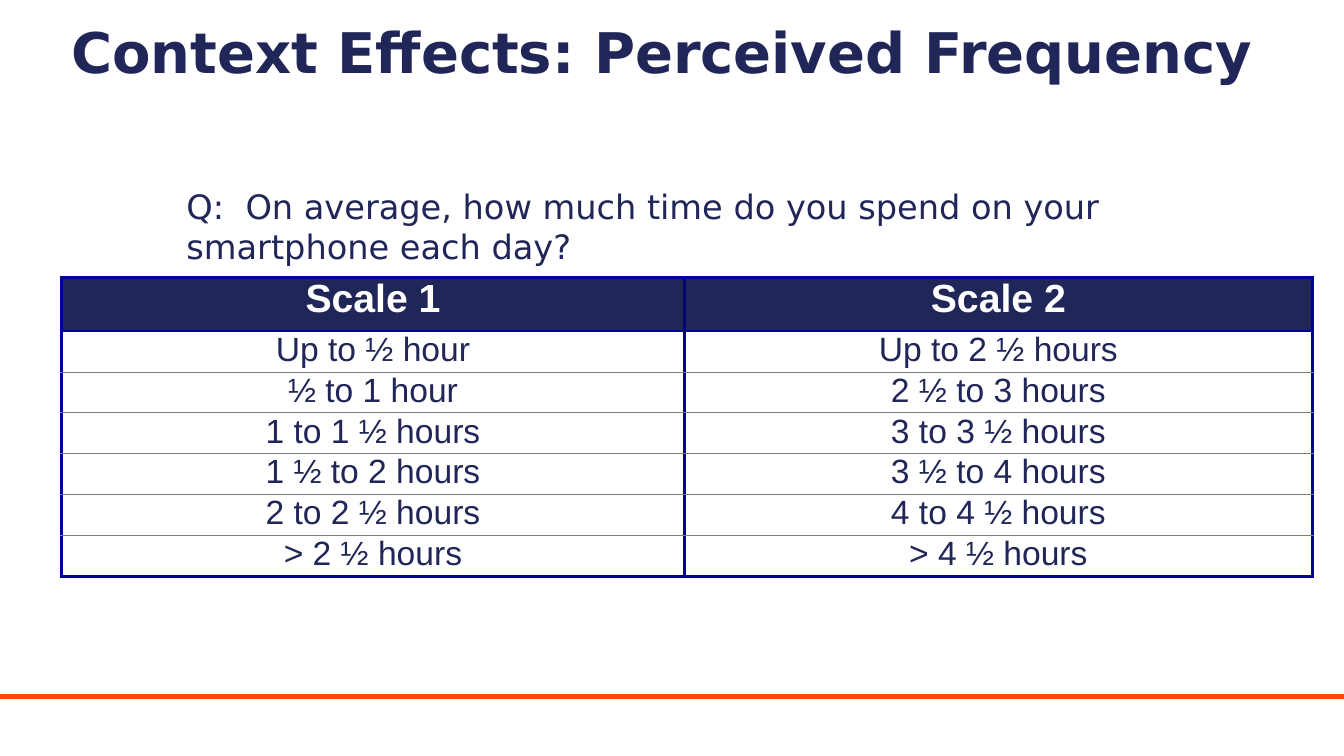
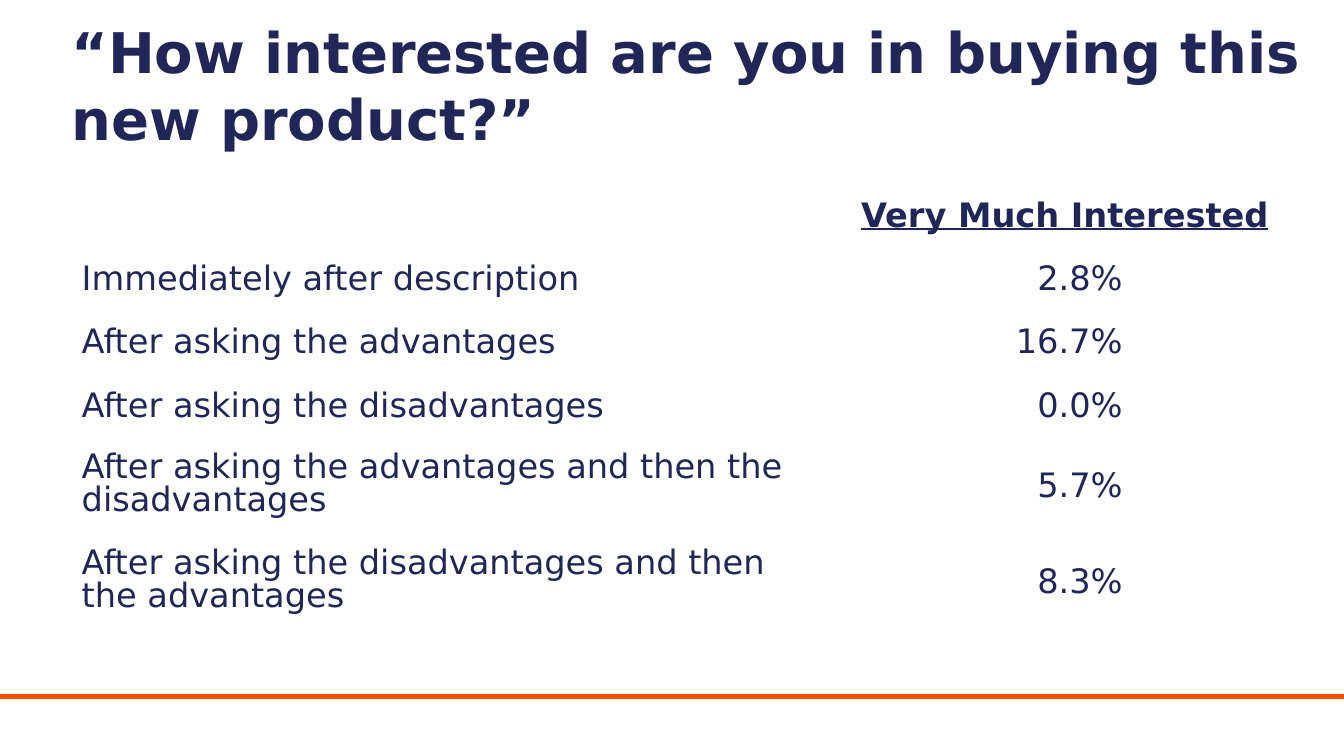
from dataclasses import dataclass

from lxml import etree
from pptx import Presentation
from pptx import util as u
from pptx.dml.color import RGBColor
from pptx.enum import shapes, text
from pptx.oxml.ns import qn


@dataclass(frozen=True)
class Theme:
    navy: str = "212659"
    white: str = "FFFFFF"
    orange: str = "FF4A00"
    frame: str = "000099"
    rule: str = "7F7F7F"
    heading_font: str = "DejaVu Sans"
    scale_font: str = "Arial"
    title_size: int = 40
    header_size: int = 28
    body_size: int = 24


theme = Theme()


def write(frame, words, size=theme.body_size, font=theme.heading_font, color=theme.navy,
          bold=False, underline=False, align=text.PP_ALIGN.LEFT, spacing=None):
    frame.word_wrap = True
    paragraph = frame.paragraphs[0]
    paragraph.alignment = align
    if spacing:
        paragraph.line_spacing = spacing
    run = paragraph.add_run()
    run.text = words
    run.font.size = u.Pt(size)
    run.font.name = font
    run.font.bold = bold
    run.font.underline = underline
    run.font.color.rgb = RGBColor.from_string(color)


def add_grid(slide, left, top, widths, heights):
    grid = slide.shapes.add_table(
        len(heights), len(widths), u.Cm(left), u.Cm(top),
        u.Cm(sum(widths)), u.Cm(sum(heights))).table
    grid.first_row = False
    grid.horz_banding = False
    for column, width in zip(grid.columns, widths):
        column.width = u.Cm(width)
    for row, height in zip(grid.rows, heights):
        row.height = u.Cm(height)
    for cell in grid.iter_cells():
        cell.margin_left = cell.margin_right = u.Cm(0.36)
        cell.fill.background()
    return grid


deck = Presentation()
deck.slide_width = u.Cm(33.87)
deck.slide_height = u.Cm(19.05)

titles = [
    "Context Effects: Perceived Frequency",
    "“How interested are you in buying this new product?”",
]
slides = []
for title in titles:
    slide = deck.slides.add_slide(deck.slide_layouts[6])
    footer_rule = slide.shapes.add_connector(
        shapes.MSO_CONNECTOR.STRAIGHT, 0, u.Cm(17.55), deck.slide_width, u.Cm(17.55))
    footer_rule.line.color.rgb = RGBColor.from_string(theme.orange)
    footer_rule.line.width = u.Pt(3)
    etree.SubElement(footer_rule._element.spPr, qn("a:effectLst"))
    heading = slide.shapes.add_textbox(u.Cm(1.55), u.Cm(0.2), u.Cm(31.52), u.Cm(2.1)).text_frame
    heading.margin_top = u.Cm(0.23)
    write(heading, title, size=theme.title_size, bold=True)
    slides.append(slide)
frequency_slide, interest_slide = slides

question = frequency_slide.shapes.add_textbox(u.Cm(4.45), u.Cm(4.55), u.Cm(23.72), u.Cm(2.31))
write(question.text_frame,
      "Q:  On average, how much time do you spend on your smartphone each day?")

scales = [
    ("Scale 1", "Scale 2"),
    ("Up to ½ hour", "Up to 2 ½ hours"),
    ("½ to 1 hour", "2 ½ to 3 hours"),
    ("1 to 1 ½ hours", "3 to 3 ½ hours"),
    ("1 ½ to 2 hours", "3 ½ to 4 hours"),
    ("2 to 2 ½ hours", "4 to 4 ½ hours"),
    ("> 2 ½ hours", "> 4 ½ hours"),
]
last = len(scales) - 1
scale_grid = add_grid(frequency_slide, 1.55, 6.99, [15.7, 15.82], [1.35] + [1.03] * last)
for r, answers in enumerate(scales):
    is_header = r == 0
    heavy_sides = {"L": True, "R": True, "T": r <= 1, "B": r in (0, last)}
    for c, answer in enumerate(answers):
        cell = scale_grid.cell(r, c)
        cell.margin_top = cell.margin_bottom = 0
        properties = cell._tc.get_or_add_tcPr()
        for position, (side, heavy) in enumerate(heavy_sides.items()):
            border = etree.Element(qn(f"a:ln{side}"), w=str(u.Pt(2.25 if heavy else 0.5)))
            paint = etree.SubElement(border, qn("a:solidFill"))
            etree.SubElement(paint, qn("a:srgbClr"), val=theme.frame if heavy else theme.rule)
            properties.insert(position, border)
        if is_header:
            cell.fill.solid()
            cell.fill.fore_color.rgb = RGBColor.from_string(theme.navy)
        write(cell.text_frame, answer, font=theme.scale_font, bold=is_header,
              size=theme.header_size if is_header else theme.body_size,
              color=theme.white if is_header else theme.navy, align=text.PP_ALIGN.CENTER)

interest = [
    ("Immediately after description", "2.8%", None),
    ("After asking the advantages", "16.7%", None),
    ("After asking the disadvantages", "0.0%", None),
    ("After asking the advantages and then the disadvantages", "5.7%", 0.85),
    ("After asking the disadvantages and then the advantages", "8.3%", 0.85),
]
interest_grid = add_grid(interest_slide, 1.7, 4.65, [18.75, 12.77],
                         [1.57] + [2.42 if spacing else 1.6 for _, _, spacing in interest])
for cell in interest_grid.iter_cells():
    cell.vertical_anchor = text.MSO_ANCHOR.MIDDLE
write(interest_grid.cell(0, 1).text_frame, "Very Much Interested",
      bold=True, underline=True, align=text.PP_ALIGN.CENTER)
for r, (moment, share, spacing) in enumerate(interest, 1):
    write(interest_grid.cell(r, 0).text_frame, moment, spacing=spacing)
    share_cell = interest_grid.cell(r, 1)
    share_cell.margin_right = u.Cm(4.93)
    write(share_cell.text_frame, share, align=text.PP_ALIGN.RIGHT)

deck.save("out.pptx")
